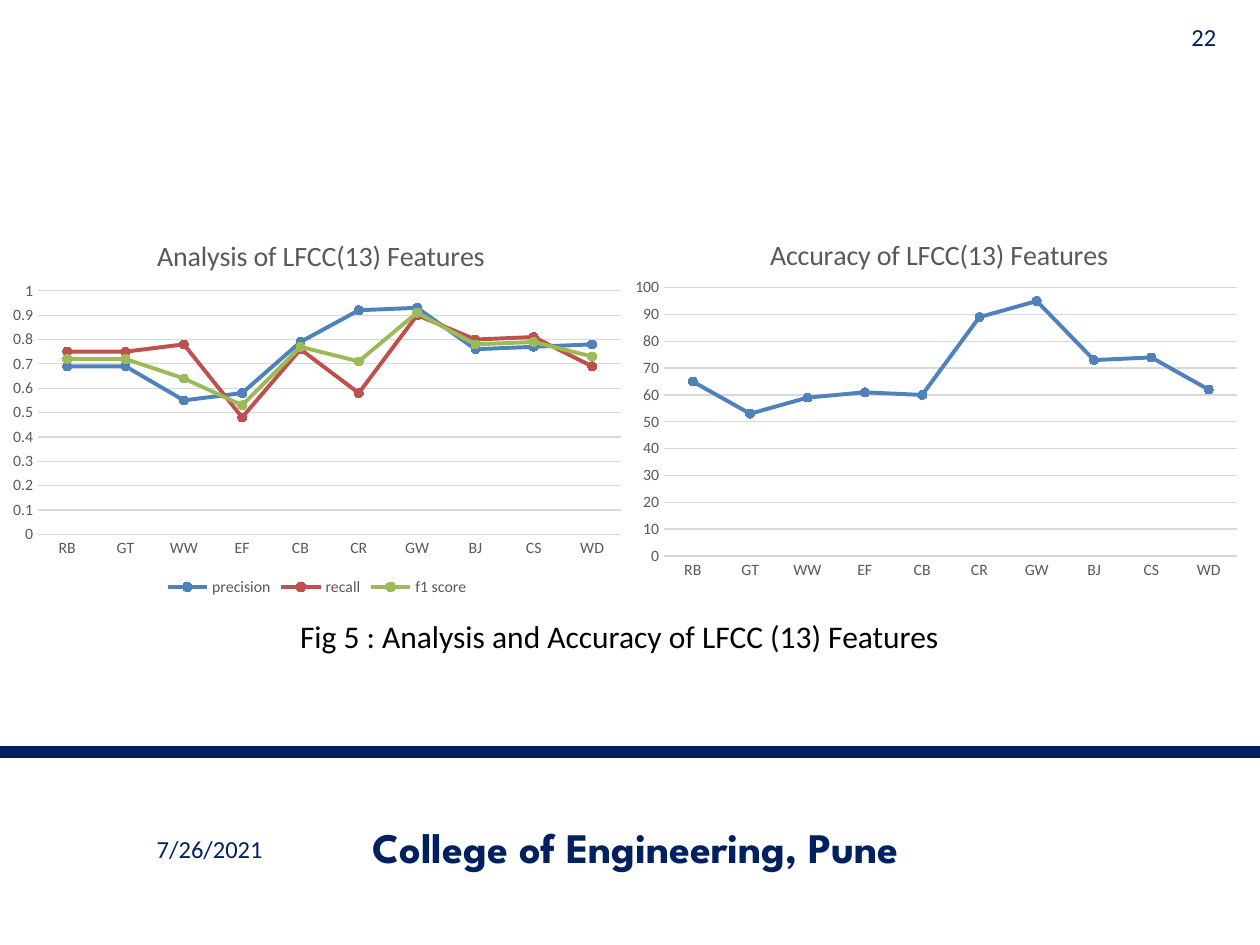
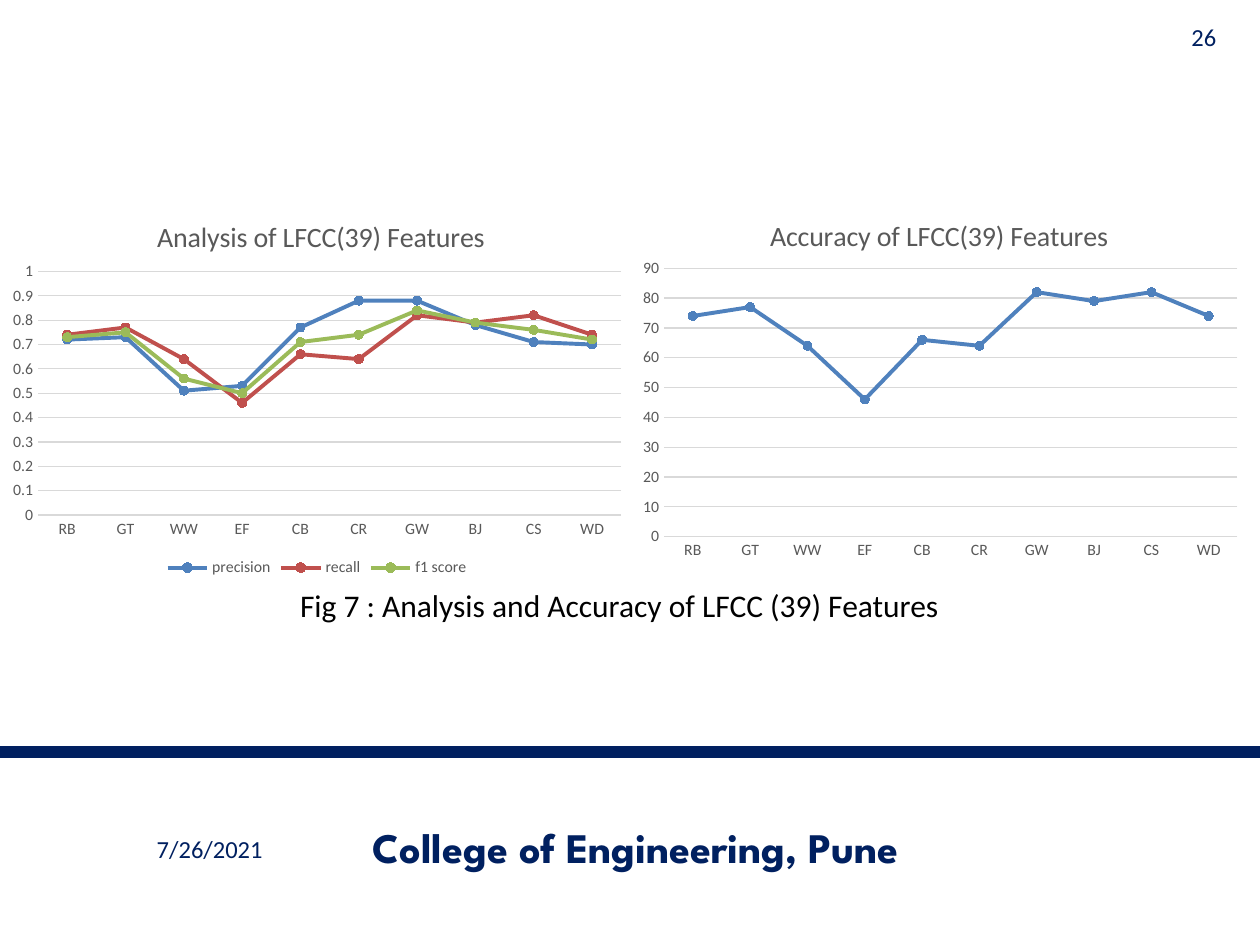
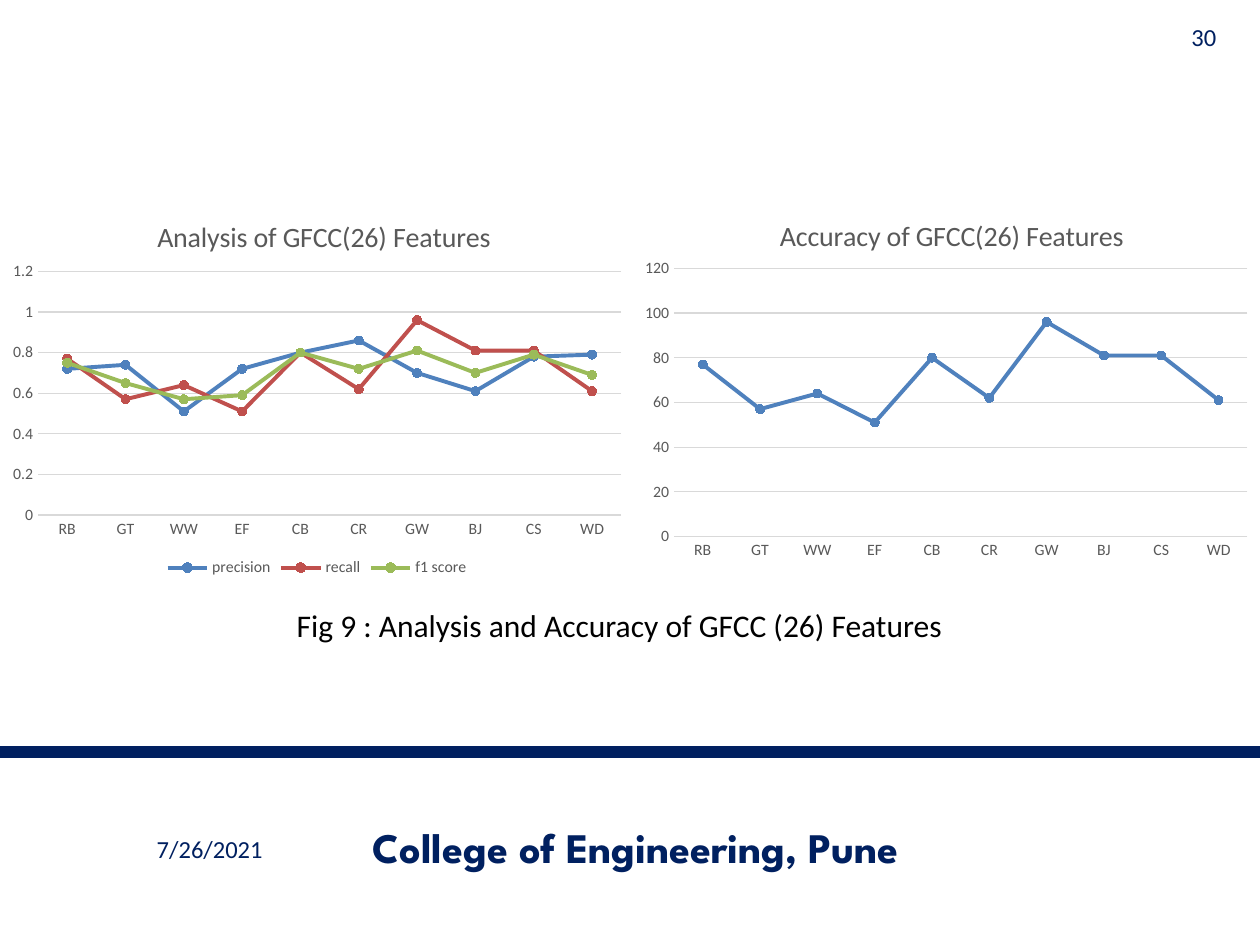
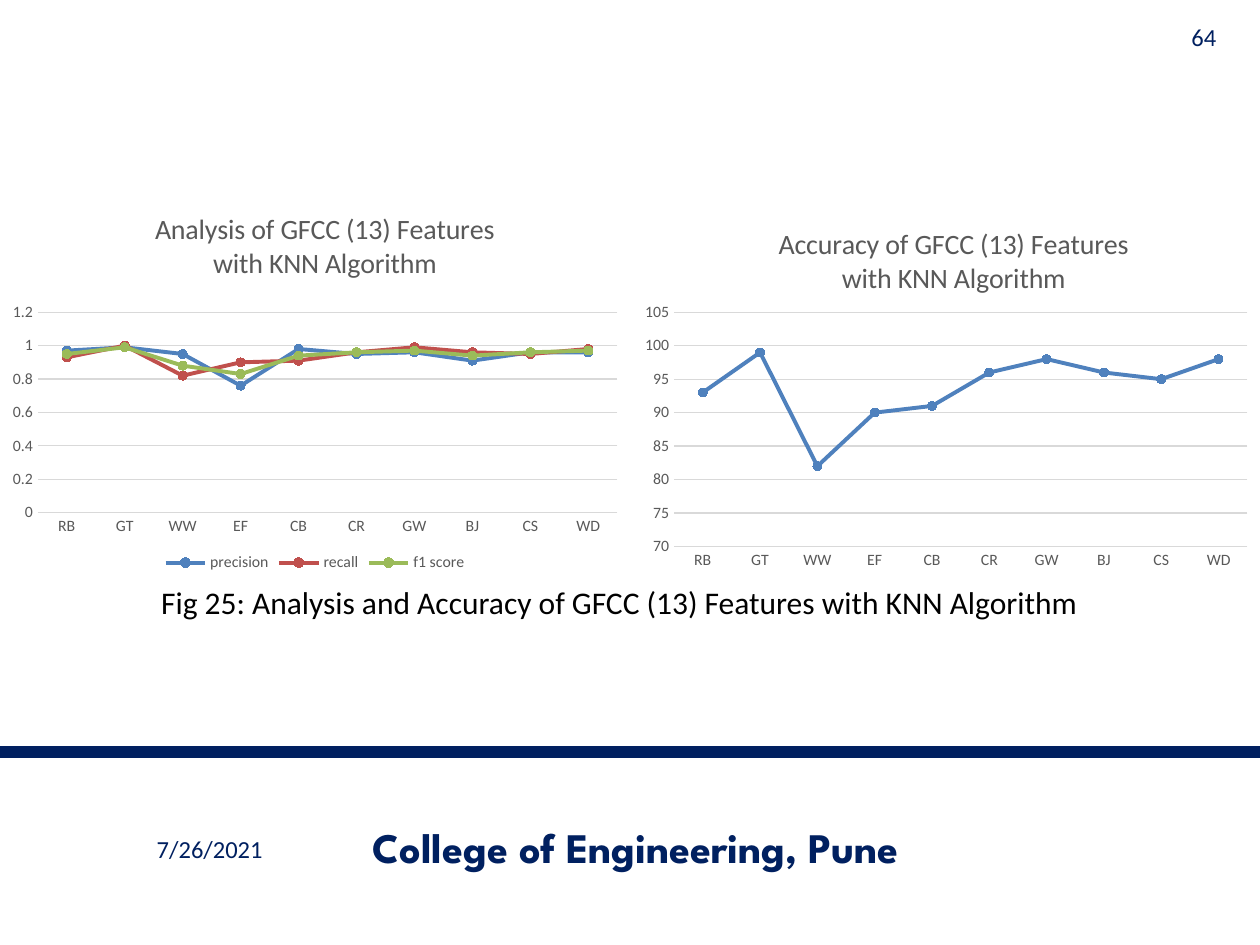
from dataclasses import dataclass, field

from lxml import etree
from pptx import Presentation
from pptx import util as u
from pptx.chart.data import CategoryChartData
from pptx.dml.color import RGBColor
from pptx.enum import chart as charts
from pptx.enum import shapes, text
from pptx.oxml.ns import qn

NAVY, BLACK, GREY, PALE = "002060", "000000", "595959", "D9D9D9"
SERIES_COLOURS = ("4F81BD", "C0504D", "9BBB59")
BODY_FONT, FOOTER_FONT = "Calibri", "League Spartan"
CATEGORIES = ("RB", "GT", "WW", "EF", "CB", "CR", "GW", "BJ", "CS", "WD")
LINE_HEIGHT = 1.02
BAND_TOP = 15.16
SMALL_CHART, LARGE_CHART = (12.7, 7.62), (12.78, 7.92)


@dataclass
class Label:
    """A one-line text box; lengths in centimetres."""
    left: float
    top: float
    width: float
    size: int
    height: float = LINE_HEIGHT
    colour: str = NAVY
    font: str = BODY_FONT
    bold: bool = False
    align: text.PP_ALIGN = text.PP_ALIGN.CENTER
    anchor: text.MSO_ANCHOR = text.MSO_ANCHOR.MIDDLE


@dataclass
class Scale:
    maximum: float
    step: float
    minimum: float = 0


@dataclass
class LineChart:
    """Sizes in centimetres; title and plot places as fractions of the chart."""
    title: str
    left: float
    top: float
    size: tuple[float, float]
    title_left: float
    title_top: float
    plot_left: float
    plot_bottom: float
    scale: Scale
    series: dict[str, list[float]]

    @property
    def plot_top(self) -> float:
        return 0.3 if "\n" in self.title else 0.21


@dataclass
class Result:
    """Scores of one feature set, in percent and in the order of CATEGORIES.

    F1 and accuracy follow from precision and recall; the categories where the
    measured value differs from that rule are listed by name.
    """
    number: int
    features: str
    caption: str
    top: float
    caption_top: float
    accuracy_left: float
    analysis_scale: Scale
    accuracy_scale: Scale
    precision: tuple[int, ...]
    recall: tuple[int, ...]
    measured_f1: dict[str, int]
    measured_accuracy: dict[str, int] = field(default_factory=dict)
    analysis_size: tuple[float, float] = LARGE_CHART
    analysis_title_top: float = 0.06

    def analysis(self) -> LineChart:
        f1 = [self.measured_f1.get(name, round(2 * p * r / (p + r)))
              for name, p, r in zip(CATEGORIES, self.precision, self.recall)]
        scores = {"precision": self.precision, "recall": self.recall, "f1 score": f1}
        series = {name: [value / 100 for value in values] for name, values in scores.items()}
        return LineChart(f"Analysis of {self.features}", 0, self.top, self.analysis_size,
                         0.24, self.analysis_title_top, 0.06, 0.83,
                         self.analysis_scale, series)

    def accuracy(self) -> LineChart:
        values = [self.measured_accuracy.get(name, r)
                  for name, r in zip(CATEGORIES, self.recall)]
        return LineChart(f"Accuracy of {self.features}", self.accuracy_left, self.top,
                         SMALL_CHART, 0.23, 0.06, 0.07, 0.92,
                         self.accuracy_scale, {"Series 1": values})


DATE = Label(1.27, 16.59, 5.92, 14)
COLLEGE = Label(6.15, 16.56, 13.34, 24, font=FOOTER_FONT, bold=True)
NUMBER = Label(23.5, 0.38, 1.27, 14, height=0.71, align=text.PP_ALIGN.RIGHT)
TENTHS, FIFTHS = Scale(1, 0.1), Scale(1.2, 0.2)

RESULTS = (
    Result(22, "LFCC(13) Features", "Fig 5 : Analysis and Accuracy of LFCC (13) Features",
           4.2, 12.32, 12.5, TENTHS, Scale(100, 10),
           precision=(69, 69, 55, 58, 79, 92, 93, 76, 77, 78),
           recall=(75, 75, 78, 48, 76, 58, 90, 80, 81, 69),
           measured_f1={"WW": 64, "EF": 53},
           measured_accuracy=dict(zip(CATEGORIES, (65, 53, 59, 61, 60, 89, 95, 73, 74, 62)))),
    Result(26, "LFCC(39) Features", "Fig 7 : Analysis and Accuracy of LFCC (39) Features",
           3.81, 11.68, 12.5, TENTHS, Scale(90, 10),
           precision=(72, 73, 51, 53, 77, 88, 88, 78, 71, 70),
           recall=(74, 77, 64, 46, 66, 64, 82, 79, 82, 74),
           measured_f1={"WW": 56, "EF": 50, "GW": 84, "BJ": 79}),
    Result(30, "GFCC(26) Features", "Fig 9 : Analysis and Accuracy of GFCC (26) Features",
           3.81, 12.09, 12.7, FIFTHS, Scale(120, 20),
           precision=(72, 74, 51, 72, 80, 86, 70, 61, 78, 79),
           recall=(77, 57, 64, 51, 80, 62, 96, 81, 81, 61),
           measured_f1={"RB": 75, "GT": 65, "EF": 59}),
    Result(64, "GFCC (13) Features\nwith KNN Algorithm",
           "Fig 25: Analysis and Accuracy of GFCC (13) Features with KNN Algorithm",
           4.01, 11.63, 12.7, FIFTHS, Scale(105, 5, minimum=70),
           precision=(97, 99, 95, 76, 98, 95, 96, 91, 96, 96),
           recall=(93, 100, 82, 90, 91, 96, 99, 96, 95, 98),
           measured_f1={"EF": 83, "CR": 96, "BJ": 94, "CS": 96},
           measured_accuracy={"GT": 99, "GW": 98},
           analysis_size=SMALL_CHART, analysis_title_top=0.02),
)


def colour(value: str) -> RGBColor:
    return RGBColor.from_string(value)


def style_font(font, size: float, value: str, name: str = BODY_FONT, bold: bool = False) -> None:
    font.name, font.size, font.bold = name, u.Pt(size), bold
    font.color.rgb = colour(value)


def style_line(line, value: str, width: float = 0.75) -> None:
    line.color.rgb = colour(value)
    line.width = u.Pt(width)


def add_label(page, label: Label, words: str) -> None:
    box = page.shapes.add_textbox(*map(u.Cm, (label.left, label.top, label.width, label.height)))
    frame = box.text_frame
    frame.word_wrap = True
    frame.vertical_anchor = label.anchor
    frame.text = words
    paragraph = frame.paragraphs[0]
    paragraph.alignment = label.align
    style_font(paragraph.runs[0].font, label.size, label.colour, label.font, label.bold)


def add_band(deck, page, layout) -> None:
    """Draw the navy band and move it to the layout, so every page shows it."""
    band = page.shapes.add_connector(
        shapes.MSO_CONNECTOR.STRAIGHT, 0, u.Cm(BAND_TOP), deck.slide_width, u.Cm(BAND_TOP))
    style_line(band.line, NAVY, 6.5)
    etree.SubElement(band.element.spPr, qn("a:effectLst"))
    band.element.nvCxnSpPr.cNvPr.set("id", "20")
    layout.shapes.element.append(band.element)


def set_layout(parent, index: int, **settings: object) -> None:
    """Give a chart title or plot area a fixed place in its chart."""
    for old in parent.findall(qn("c:layout")):
        parent.remove(old)
    layout = etree.Element(qn("c:layout"))
    manual = etree.SubElement(layout, qn("c:manualLayout"))
    for tag, value in settings.items():
        etree.SubElement(manual, qn(f"c:{tag}")).set("val", str(value))
    parent.insert(index, layout)


def style_axes(chart, scale: Scale) -> None:
    for axis in (chart.category_axis, chart.value_axis):
        axis.major_tick_mark = axis.minor_tick_mark = charts.XL_TICK_MARK.NONE
        style_font(axis.tick_labels.font, 9, GREY)
    style_line(chart.category_axis.format.line, PALE)
    values = chart.value_axis
    values.minimum_scale, values.maximum_scale = scale.minimum, scale.maximum
    values.major_unit = scale.step
    values.format.line.fill.background()
    values.has_major_gridlines = True
    style_line(values.major_gridlines.format.line, PALE)


def style_series(plot) -> None:
    plot.vary_by_categories = False
    for series, value in zip(plot.series, SERIES_COLOURS):
        series.smooth = False
        style_line(series.format.line, value, 2.25)
        marker = series.marker
        marker.style, marker.size = charts.XL_MARKER_STYLE.CIRCLE, 5
        marker.format.fill.solid()
        marker.format.fill.fore_color.rgb = colour(value)
        style_line(marker.format.line, value)


def add_line_chart(page, content: LineChart) -> None:
    data = CategoryChartData()
    data.categories = CATEGORIES
    for name, values in content.series.items():
        data.add_series(name, values)
    box = map(u.Cm, (content.left, content.top, *content.size))
    chart = page.shapes.add_chart(charts.XL_CHART_TYPE.LINE_MARKERS, *box, data).chart
    style_font(chart.font, 10, BLACK)

    chart.has_title = True
    chart.chart_title.text_frame.text = content.title
    for paragraph in chart.chart_title.text_frame.paragraphs:
        style_font(paragraph.runs[0].font, 16, GREY)
    set_layout(chart.chart_title.element, 1, xMode="edge", yMode="edge",
               x=content.title_left, y=content.title_top)
    set_layout(chart.element.find(f".//{qn('c:plotArea')}"), 0,
               layoutTarget="inner", xMode="edge", yMode="edge",
               x=content.plot_left, y=content.plot_top,
               w=round(0.98 - content.plot_left, 2),
               h=round(content.plot_bottom - content.plot_top, 2))
    style_axes(chart, content.scale)
    style_series(chart.plots[0])

    chart.has_legend = len(content.series) > 1
    if chart.has_legend:
        chart.legend.position = charts.XL_LEGEND_POSITION.BOTTOM
        chart.legend.include_in_layout = False
        style_font(chart.legend.font, 9, GREY)


def add_result_page(deck, layout, result: Result):
    page = deck.slides.add_slide(layout)
    add_label(page, DATE, "7/26/2021")
    add_label(page, COLLEGE, "College of Engineering, Pune")
    add_label(page, NUMBER, str(result.number))
    add_line_chart(page, result.analysis())
    add_line_chart(page, result.accuracy())
    caption = Label(0.64, result.caption_top, 23.7, 18, colour=BLACK,
                    anchor=text.MSO_ANCHOR.TOP)
    add_label(page, caption, result.caption)
    return page


def main() -> None:
    deck = Presentation()
    deck.slide_width, deck.slide_height = u.Cm(25.4), u.Cm(19.05)
    layout = deck.slide_layouts.get_by_name("Blank")
    pages = [add_result_page(deck, layout, result) for result in RESULTS]
    add_band(deck, pages[0], layout)
    deck.save("out.pptx")


if __name__ == "__main__":
    main()
